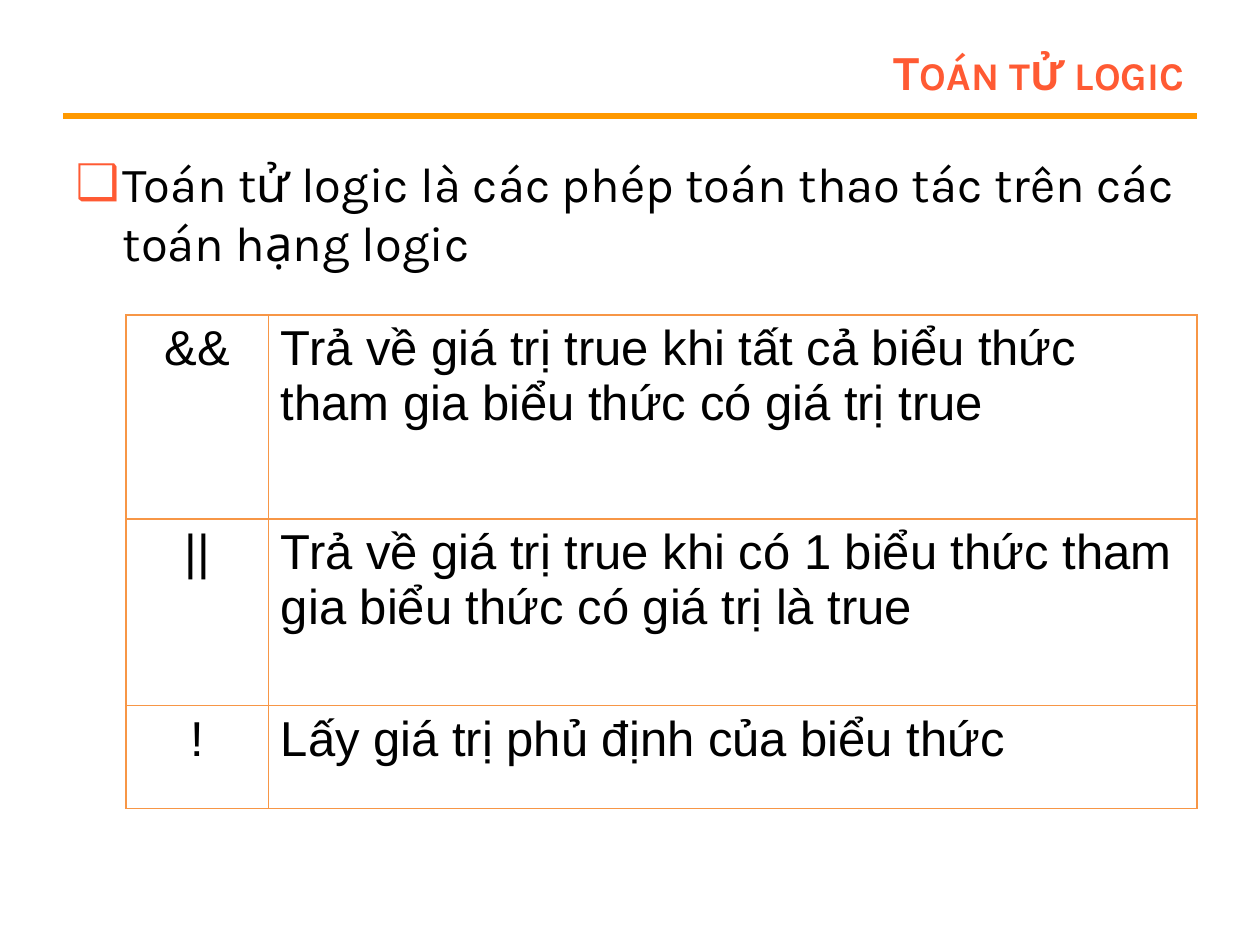
import dataclasses

import lxml.etree
import pptx
import pptx.dml.color
import pptx.enum.text
import pptx.oxml.ns
import pptx.util

Cm = pptx.util.Cm
Pt = pptx.util.Pt
ALIGN = pptx.enum.text.PP_ALIGN
ANCHOR = pptx.enum.text.MSO_ANCHOR


@dataclasses.dataclass(frozen=True)
class Theme:
    accent: str = "FF5A33"
    rule: str = "FF9900"
    border: str = "F79646"
    ink: str = "000000"
    head: str = "Karla"
    cell: str = "Arial"
    size: int = 28


THEME = Theme()
ROWS = [
    ("&&", "Trả về giá trị true khi tất cả biểu thức tham gia biểu thức có giá trị true"),
    ("||", "Trả về giá trị true khi có 1 biểu thức tham gia biểu thức có giá trị là true"),
    ("!", "Lấy giá trị phủ định của biểu thức"),
]


def rgb(code):
    return pptx.dml.color.RGBColor.from_string(code)


def add_node(parent, tag, **attrs):
    return lxml.etree.SubElement(parent, pptx.oxml.ns.qn(tag), attrs)


def add_run(para, text, face, color, bold=False):
    run = para.add_run()
    run.text = text
    font = run.font
    font.name, font.size, font.bold = face, Pt(THEME.size), bold
    font.color.rgb = rgb(color)
    return run


def place(shape, left, top, width, height):
    shape.left, shape.top = Cm(left), Cm(top)
    shape.width, shape.height = Cm(width), Cm(height)


def set_frame(frame, anchor):
    frame.word_wrap = True
    frame.auto_size = pptx.enum.text.MSO_AUTO_SIZE.NONE
    frame.vertical_anchor = anchor


def add_title(slide, text):
    title = slide.shapes.title
    place(title, 5.72, 0.76, 18.41, 1.35)
    set_frame(title.text_frame, ANCHOR.MIDDLE)
    para = title.text_frame.paragraphs[0]
    para.alignment = ALIGN.RIGHT
    run = add_run(para, text, THEME.head, THEME.accent, bold=True)
    run.font._element.set("cap", "small")


def add_rule(slide):
    line = slide.shapes.add_connector(
        pptx.enum.shapes.MSO_CONNECTOR.STRAIGHT, Cm(1.27), Cm(2.34), Cm(24.13), Cm(2.34))
    line.line.color.rgb = rgb(THEME.rule)
    line.line.width = Pt(3)
    add_node(line._element.spPr, "a:effectLst")


def set_bullet(para, mark):
    props = para._p.get_or_add_pPr()
    props.set("marL", str(Cm(0.95)))
    props.set("indent", str(Cm(-0.95)))
    color = add_node(props, "a:buClr")
    add_node(color, "a:srgbClr", val=THEME.accent)
    add_node(props, "a:buChar", char=mark)


def add_body(slide, text):
    body = slide.placeholders[1]
    place(body, 1.27, 2.97, 22.86, 2.97)
    set_frame(body.text_frame, ANCHOR.TOP)
    para = body.text_frame.paragraphs[0]
    para.space_before = Pt(0)
    set_bullet(para, "❑")
    add_run(para, text, THEME.head, THEME.ink)


def set_border(cell):
    props = cell._tc.get_or_add_tcPr()
    for spot, side in enumerate(("a:lnL", "a:lnR", "a:lnT", "a:lnB")):
        line = add_node(props, side, w=str(Pt(1)))
        fill = add_node(line, "a:solidFill")
        add_node(fill, "a:srgbClr", val=THEME.border)
        props.insert(spot, line)  # borders come before the fill


def fill_cell(cell, text, align):
    cell.fill.background()
    set_border(cell)
    para = cell.text_frame.paragraphs[0]
    para.alignment = align
    add_run(para, text, THEME.cell, THEME.ink)


def add_grid(slide, rows):
    widths, heights = (2.87, 18.72), (4.11, 3.76, 2.08)
    grid = slide.shapes.add_table(
        len(rows), len(widths), Cm(2.54), Cm(6.35),
        Cm(sum(widths)), Cm(sum(heights))).table
    grid.first_row = grid.horz_banding = False
    for col, width in zip(grid.columns, widths):
        col.width = Cm(width)
    for row, height, texts in zip(grid.rows, heights, rows):
        row.height = Cm(height)
        for cell, text, align in zip(row.cells, texts, (ALIGN.CENTER, ALIGN.LEFT)):
            fill_cell(cell, text, align)


def main():
    deck = pptx.Presentation()
    deck.slide_width, deck.slide_height = Cm(25.4), Cm(19.05)
    slide = deck.slides.add_slide(deck.slide_layouts[1])
    add_rule(slide)
    add_title(slide, "Toán tử logic")
    add_body(slide, "Toán tử logic là các phép toán thao tác trên các toán hạng logic")
    add_grid(slide, ROWS)
    deck.save("out.pptx")


if __name__ == "__main__":
    import pptx.enum.shapes
    main()
